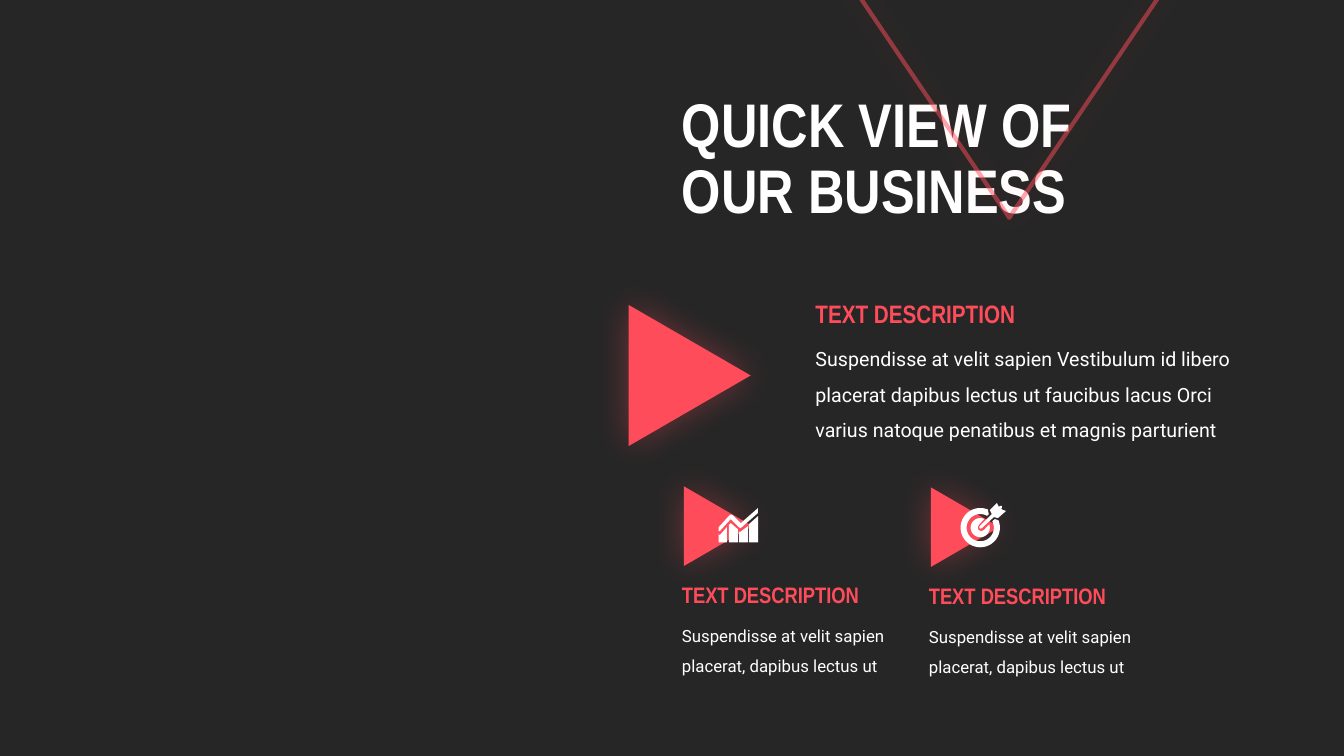
import math
from dataclasses import dataclass

import pptx
import pptx.dml.color
import pptx.enum.shapes
import pptx.enum.text
import pptx.oxml
import pptx.oxml.ns
import pptx.util


@dataclass(frozen=True)
class Theme:
    background: str = "262626"
    accent: str = "FF4C5B"
    light: str = "FFFFFF"
    heading_font: str = "Arial Narrow"
    body_font: str = "Roboto"
    title_size: int = 44
    lead_heading_size: int = 18
    lead_body_size: int = 14
    small_heading_size: int = 16
    small_body_size: int = 12
    outline_width: int = 3
    outline_opacity: int = 50
    glow_blur: int = 25
    glow_opacity: int = 35


def arc(center, radius, start, end, steps=48):
    angles = [math.radians(start + (end - start) * step / steps) for step in range(steps + 1)]
    return [(center[0] + radius * math.cos(angle), center[1] + radius * math.sin(angle))
            for angle in angles]


CHART_ICON = [
    [(8, 34), (8, 19), (1, 27), (0, 26), (0, 34)],
    [(19, 34), (19, 21), (12, 15), (10, 17), (10, 34)],
    [(29, 34), (29, 18), (21, 24), (20, 23), (20, 34)],
    [(39, 34), (39, 8), (30, 16), (30, 34)],
    [(39, 0), (22, 15), (14, 7), (12.5, 6.5), (11, 7), (0, 19), (0, 23), (1, 23),
     (12, 11), (20, 19), (21.5, 20), (23, 19), (39, 5)],
]
BULLSEYE = (19.5, 24.5)
TARGET_ICON = [
    [(37, 17), (34, 16)] + arc(BULLSEYE, 13.5, -28, 300)
    + [(28, 11), (27, 7)] + arc(BULLSEYE, 19.5, 294, -20),
    [(41, 3), (39, 3), (38, 4), (36, 0), (29, 7), (31, 11), (19, 23), (18.5, 24.5),
     (19.5, 25.5), (21, 25), (33, 14), (37, 15), (45, 8), (40, 6), (41, 5)],
    [(23, 27), (20.5, 28), (18, 27), (17, 24.5), (18, 22)] + arc(BULLSEYE, 9.5, 295, -20),
]


class SlideBuilder:
    """Draws themed elements on a slide with a grid of 160 columns by 90 rows."""

    columns, rows = 160, 90
    icon_step = 0.12

    def __init__(self, presentation, theme):
        self.theme = theme
        self.column = presentation.slide_width / self.columns
        self.row = presentation.slide_height / self.rows
        self.slide = presentation.slides.add_slide(presentation.slide_layouts[6])
        self.paint(self.slide.background.fill, theme.background)

    def frame(self, left, top, width, height):
        return (round(left * self.column), round(top * self.row),
                round(width * self.column), round(height * self.row))

    def paint(self, fill, color):
        fill.solid()
        fill.fore_color.rgb = pptx.dml.color.RGBColor.from_string(color)

    def text(self, frame, words, font, size, color, bold=False, spacing=1.0, middle=False):
        box = self.slide.shapes.add_textbox(*self.frame(*frame))
        text_frame = box.text_frame
        text_frame.word_wrap = True
        if middle:
            text_frame.vertical_anchor = pptx.enum.text.MSO_ANCHOR.MIDDLE
        paragraph = text_frame.paragraphs[0]
        paragraph.text = words
        paragraph.line_spacing = spacing
        paragraph.font.name = font
        paragraph.font.size = pptx.util.Pt(size)
        paragraph.font.bold = bold
        paragraph.font.color.rgb = pptx.dml.color.RGBColor.from_string(color)

    def heading(self, frame, words, size):
        self.text(frame, words, self.theme.heading_font, size, self.theme.accent, bold=True)

    def body(self, frame, words, size):
        self.text(frame, words, self.theme.body_font, size, self.theme.light, spacing=1.5)

    def triangle(self, frame, rotation, outlined=False):
        kind = pptx.enum.shapes.MSO_SHAPE.ISOSCELES_TRIANGLE
        shape = self.slide.shapes.add_shape(kind, *self.frame(*frame))
        shape.rotation = rotation
        if outlined:
            shape.fill.background()
            self.paint(shape.line.fill, self.theme.accent)
            shape.line.width = pptx.util.Pt(self.theme.outline_width)
            color = shape.line._ln.find(".//" + pptx.oxml.ns.qn("a:srgbClr"))
            alpha = color.makeelement(pptx.oxml.ns.qn("a:alpha"))
            alpha.set("val", str(self.theme.outline_opacity * 1000))
            color.append(alpha)
        else:
            self.paint(shape.fill, self.theme.accent)
            shape.line.fill.background()
        self.glow(shape)

    def glow(self, shape):
        blur = pptx.util.Pt(self.theme.glow_blur)
        shape._element.spPr.append(pptx.oxml.parse_xml(
            f'<a:effectLst {pptx.oxml.ns.nsdecls("a")}>'
            f'<a:outerShdw blurRad="{blur}" dist="0" dir="0" algn="ctr" rotWithShape="0">'
            f'<a:srgbClr val="{self.theme.accent}">'
            f'<a:alpha val="{self.theme.glow_opacity * 1000}"/>'
            '</a:srgbClr></a:outerShdw></a:effectLst>'))

    def icon(self, left, top, outlines):
        group = self.slide.shapes.add_group_shape()
        for outline in outlines:
            points = [((left + x * self.icon_step) * self.column,
                       (top + y * self.icon_step) * self.row) for x, y in outline]
            builder = group.shapes.build_freeform(*points[0])
            builder.add_line_segments(points[1:], close=True)
            shape = builder.convert_to_shape()
            self.paint(shape.fill, self.theme.light)
            shape.line.fill.background()
            shape.shadow.inherit = False

    def feature(self, left, top):
        self.triangle((left + 0.76, top, 9.48, 8.16), 90)
        self.body((left, top + 14.16, 27.84, 8.04),
                  "Suspendisse at velit sapien placerat, dapibus lectus ut",
                  self.theme.small_body_size)
        self.heading((left, top + 10.08, 26.52, 4.44), "TEXT DESCRIPTION",
                     self.theme.small_heading_size)


def main():
    presentation = pptx.Presentation()
    presentation.slide_width = pptx.util.Inches(13.33)
    presentation.slide_height = pptx.util.Inches(7.5)
    theme = Theme()
    builder = SlideBuilder(presentation, theme)
    builder.text((80, 9.6, 67.4, 19), "QUICK VIEW OF\vOUR BUSINESS", theme.heading_font,
                 theme.title_size, theme.light, bold=True, spacing=0.9, middle=True)
    builder.triangle((97, -8.28, 46.3, 34.2), 180, outlined=True)
    builder.triangle((73.7, 37.44, 16.8, 14.52), 90)
    builder.body((95.9, 39.36, 54.6, 13.44),
                 "Suspendisse at velit sapien Vestibulum id libero placerat dapibus lectus ut "
                 "faucibus lacus Orci varius natoque penatibus et magnis parturient",
                 theme.lead_body_size)
    builder.heading((95.9, 34.92, 29.4, 4.8), "TEXT DESCRIPTION", theme.lead_heading_size)
    for left, top in [(80, 58.56), (109.4, 58.68)]:
        builder.feature(left, top)
    builder.icon(85.56, 60.48, CHART_ICON)
    builder.icon(114.36, 59.88, TARGET_ICON)
    presentation.save("out.pptx")


if __name__ == "__main__":
    main()
